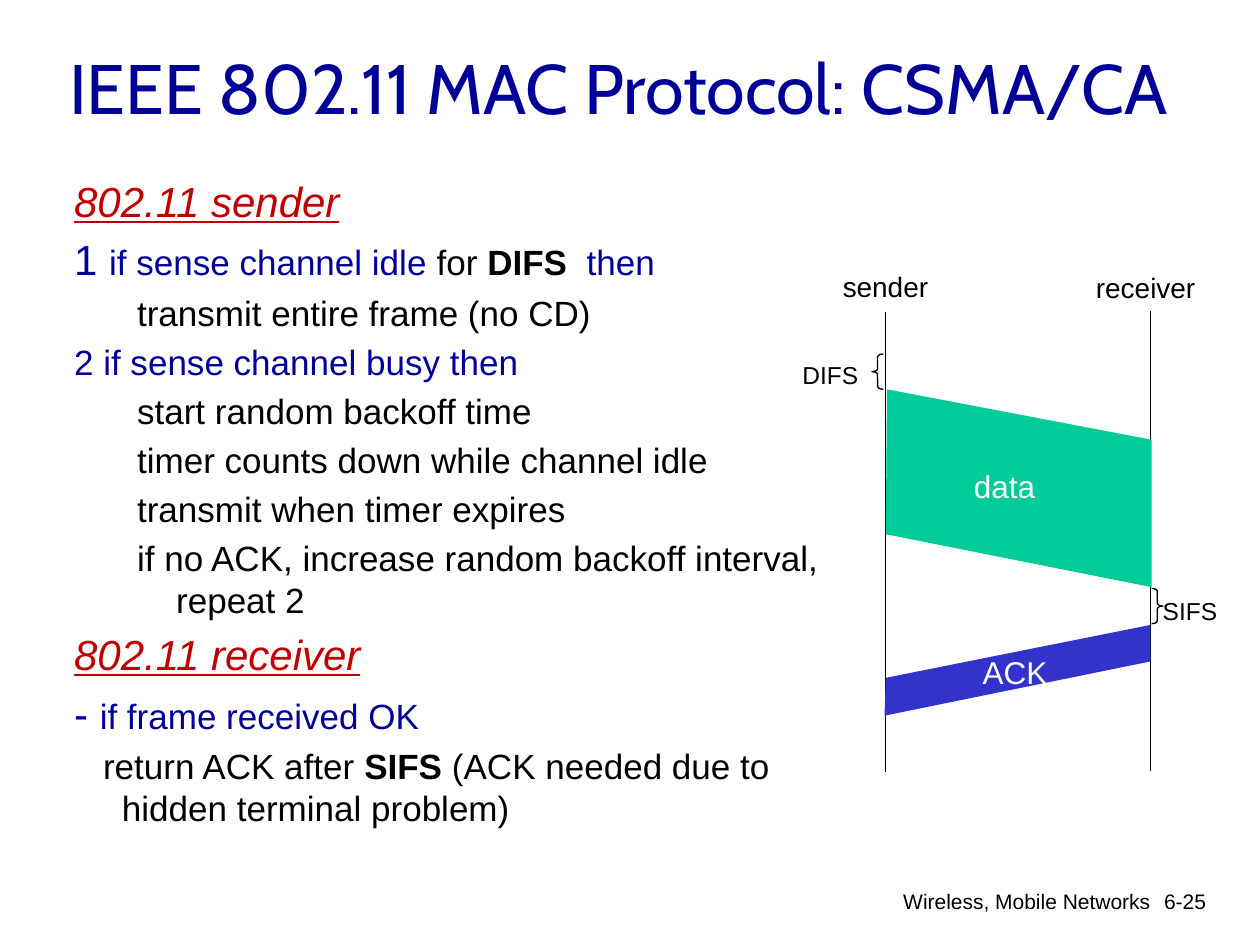
import pptx
import pptx.util
import pptx.dml.color
import pptx.enum.shapes
import pptx.enum.text
import pptx.oxml.ns
import lxml.etree

UNIT = 9144
NAVY, RED, BLACK, WHITE = "000099", "C00000", "000000", "FFFFFF"
GREEN, BLUE = "00CC99", "3333CC"
ALIGN = pptx.enum.text.PP_ALIGN
ANCHOR = pptx.enum.text.MSO_ANCHOR
SHAPE = pptx.enum.shapes.MSO_SHAPE


def px(num):
    """Turn px, a hundred to the inch, into EMU."""
    return pptx.util.Emu(num * UNIT)


def tint(code):
    """Turn a hex string into a colour."""
    return pptx.dml.color.RGBColor.from_string(code)


def style(run, size, color, bold=False, fancy=False, face="Arial"):
    """Set the font of one run."""
    font = run.font
    font.name, font.size = face, pptx.util.Pt(size)
    font.color.rgb = tint(color)
    font.bold, font.italic, font.underline = bold, fancy, fancy


def label(slide, box, text, size, color=BLACK, wrap=False, align=ALIGN.LEFT,
          anchor=ANCHOR.TOP, face="Arial"):
    """Add a text box with one line of text."""
    frame = slide.shapes.add_textbox(*map(px, box)).text_frame
    frame.word_wrap = wrap
    frame.vertical_anchor = anchor
    frame.text = text
    para = frame.paragraphs[0]
    para.alignment = align
    style(para.runs[0], size, color, face=face)


def body(slide, box):
    """Write the sender and receiver rules."""
    top, sub, last = (0, 38, -38), (1, 81, -31), (0, 38, -15)
    steps = ["start random backoff time", "timer counts down while channel idle",
             "transmit when timer expires",
             "if no ACK, increase random backoff interval, repeat 2"]
    rows = [
        (top, [("802.11 sender", 24, RED, False, True)]),
        (top, [("1 ", 24, NAVY), ("if sense channel idle", 20, NAVY),
               (" for ", 20, BLACK), ("DIFS  ", 20, BLACK, True),
               ("then", 20, NAVY)]),
        (sub, [("transmit entire frame (no CD)", 20, BLACK)]),
        (top, [("2 if sense channel busy then", 20, NAVY)]),
        *[(sub, [(step, 20, BLACK)]) for step in steps],
        (top, [("802.11 receiver", 24, RED, False, True)]),
        (top, [("- ", 24, NAVY), ("if frame received OK", 20, NAVY)]),
        (last, [("return ACK after ", 20, BLACK), ("SIFS ", 20, BLACK, True),
                ("(ACK needed due to hidden terminal problem)", 20, BLACK)]),
    ]
    frame = slide.shapes.add_textbox(*map(px, box)).text_frame
    frame.word_wrap = True
    for num, ((level, left, hang), runs) in enumerate(rows):
        para = frame.add_paragraph() if num else frame.paragraphs[0]
        para.level = level
        para.space_before = pptx.util.Pt(runs[0][1] / 5)
        props = para._p.get_or_add_pPr()
        props.set("marL", str(px(left)))
        props.set("indent", str(px(hang)))
        for text, *look in runs:
            run = para.add_run()
            run.text = text
            style(run, *look)


def axis(slide, x, top, tall):
    """Draw one upright time line."""
    line = slide.shapes.add_connector(
        pptx.enum.shapes.MSO_CONNECTOR.STRAIGHT,
        px(x), px(top), px(x), px(top + tall))
    line.line.color.rgb = tint(BLACK)
    line.line.width = pptx.util.Pt(0.75)
    lxml.etree.SubElement(line._element.spPr, pptx.oxml.ns.qn("a:effectLst"))


def brace(slide, kind, box):
    """Draw a brace that marks a wait."""
    mark = slide.shapes.add_shape(kind, *map(px, box))
    mark.shadow.inherit = False
    mark.adjustments[0], mark.adjustments[1] = 0.25, 0.5
    mark.fill.background()
    mark.line.color.rgb = tint(BLACK)
    mark.line.width = pptx.util.Pt(0.75)


def band(slide, x, y, spots, color):
    """Draw a slanted frame in transit."""
    spots = [(x + dx, y + dy) for dx, dy in spots]
    pen = slide.shapes.build_freeform(*spots[0], scale=UNIT)
    pen.add_line_segments(spots[1:], close=True)
    shape = pen.convert_to_shape()
    shape.shadow.inherit = False
    shape.fill.solid()
    shape.fill.fore_color.rgb = tint(color)
    shape.line.fill.background()


def chart(slide, x, y):
    """Draw the timing of sender and receiver."""
    axis(slide, x + 103, y + 48, 365)
    axis(slide, x + 313, y + 47, 365)
    label(slide, (x + 59, y + 9, 91, 37), "sender", 16)
    label(slide, (x + 260, y + 10, 100, 37), "receiver", 16)
    brace(slide, SHAPE.LEFT_BRACE, (x + 92, y + 81, 9, 28))
    label(slide, (x + 27, y + 81, 65, 34), "DIFS", 14)
    band(slide, x, y, [(104, 109), (314, 149), (314, 266), (103, 224)], GREEN)
    label(slide, (x + 163, y + 166, 69, 40), "data", 18, WHITE)
    label(slide, (x + 313, y + 268, 64, 34), "SIFS", 14)
    brace(slide, SHAPE.RIGHT_BRACE, (x + 314, y + 267, 9, 28))
    band(slide, x, y, [(102, 368), (313, 325), (313, 296), (103, 338)], BLUE)
    label(slide, (x + 170, y + 313, 72, 40), "ACK", 18, WHITE)


def footer(slide, x, y):
    """Write the chapter name and page number."""
    label(slide, (x, y, 422, 35), "Wireless, Mobile Networks", 12,
          wrap=True, align=ALIGN.RIGHT)
    label(slide, (x + 392, y, 74, 50), "6-25", 12, wrap=True, align=ALIGN.RIGHT)


def main():
    """Build and save the slide."""
    deck = pptx.Presentation()
    deck.slide_width, deck.slide_height = px(1000), px(750)
    slide = deck.slides.add_slide(deck.slide_layouts[6])
    footer(slide, 501, 700)
    label(slide, (45, 17, 899, 104), "IEEE 802.11 MAC Protocol: CSMA/CA", 40,
          NAVY, wrap=True, anchor=ANCHOR.MIDDLE, face="Cabin")
    body(slide, (49, 134, 616, 542))
    chart(slide, 600, 200)
    deck.save("out.pptx")


if __name__ == "__main__":
    main()
